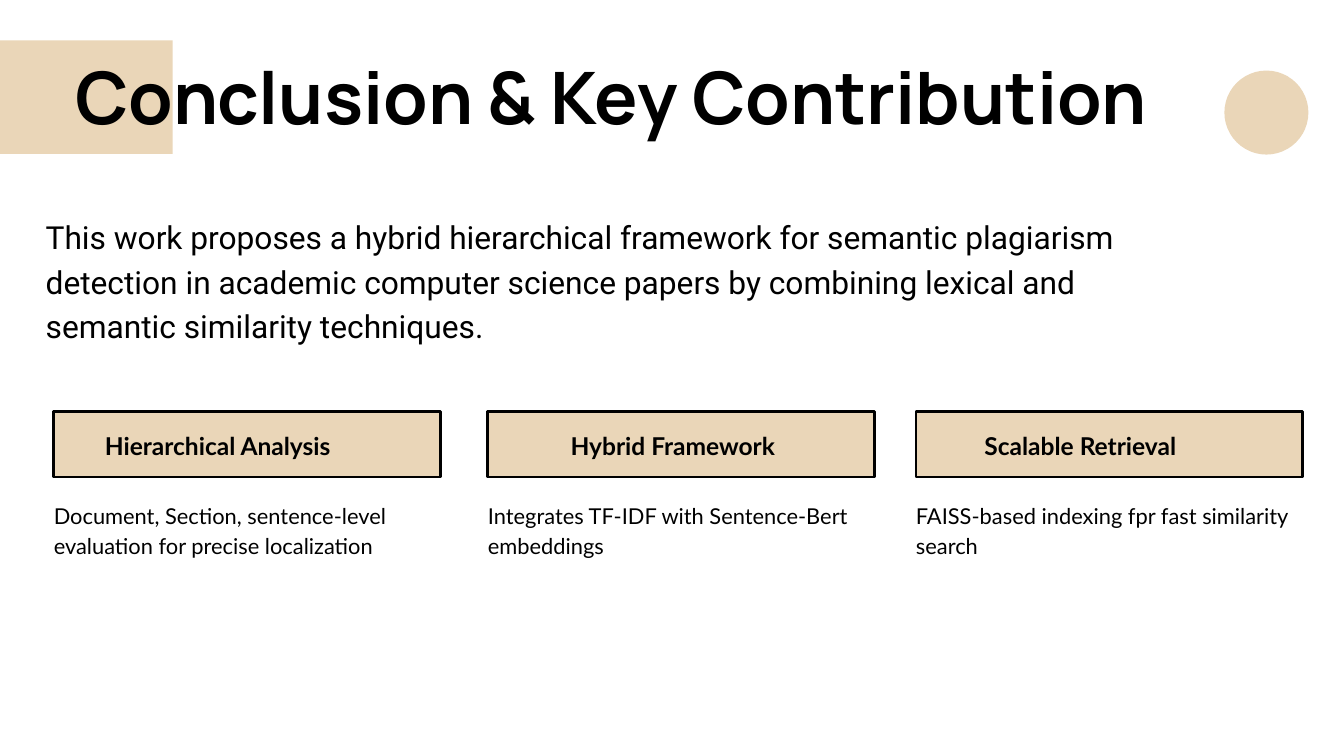
from pptx import Presentation
from pptx.dml.color import RGBColor
from pptx.enum.shapes import MSO_SHAPE
from pptx.enum.text import MSO_ANCHOR, MSO_AUTO_SIZE, PP_ALIGN
from pptx.util import Inches, Pt

RECT, OVAL = MSO_SHAPE.RECTANGLE, MSO_SHAPE.OVAL
TOP, LEFT, NO_FIT = MSO_ANCHOR.TOP, PP_ALIGN.LEFT, MSO_AUTO_SIZE.NONE
SAND, BLACK = "EAD6B8", "000000"


def add_block(kind, x, y, w, h, line_width=0):
    sp = s.shapes.add_shape(kind, Inches(x), Inches(y), Inches(w), Inches(h))
    sp.shadow.inherit = False
    sp.fill.solid()
    sp.fill.fore_color.rgb = RGBColor.from_string(SAND)
    if line_width:
        sp.line.color.rgb = RGBColor.from_string(BLACK)
        sp.line.width = Pt(line_width)
    else:
        sp.line.fill.background()


def set_text(sp, x, y, w, h, text, font, size, spacing, bold=False):
    sp.left, sp.top, sp.width, sp.height = Inches(x), Inches(y), Inches(w), Inches(h)
    tf = sp.text_frame
    tf.text = text
    tf.word_wrap = True
    tf.auto_size = NO_FIT
    tf.vertical_anchor = TOP
    tf.margin_left = tf.margin_right = tf.margin_top = tf.margin_bottom = 0
    p = tf.paragraphs[0]
    p.alignment = LEFT
    p.line_spacing = Pt(spacing)
    p.space_before = Pt(0)
    r = p.runs[0]
    r.font.name = font
    r.font.size = Pt(size)
    r.font.bold = bold
    r.font.color.rgb = RGBColor.from_string(BLACK)


prs = Presentation()
prs.slide_width, prs.slide_height = Inches(20), Inches(11.25)
s = prs.slides.add_slide(prs.slide_layouts[5])

add_block(RECT, -1.69, 0.6, 4.26, 1.69)
add_block(OVAL, 18.22, 1.05, 1.25, 1.25)

title = s.shapes.title
s.shapes._spTree.append(title._element)
set_text(title, 1.12, 0.56, 18.88, 1.52, "Conclusion & Key Contribution",
         "Manrope", 77.5, 108.5, True)

summary = s.shapes.add_textbox(0, 0, 0, 0)
set_text(summary, 0.68, 3.15, 17.33, 1.95,
         "This work proposes a hybrid hierarchical framework for semantic plagiarism "
         "detection in academic computer science papers by combining lexical and "
         "semantic similarity techniques.", "Roboto", 34, 47.6)

contributions = [
    (0.8, 1.56, "Hierarchical Analysis",
     "Document, Section, sentence-level evaluation for precise localization"),
    (7.26, 8.49, "Hybrid Framework",
     "Integrates TF-IDF with Sentence-Bert embeddings"),
    (13.63, 14.65, "Scalable Retrieval",
     "FAISS-based indexing fpr fast similarity search"),
]
for x, heading_x, heading, detail in contributions:
    add_block(RECT, x, 6.12, 5.75, 0.98, 3)
    set_text(s.shapes.add_textbox(0, 0, 0, 0), heading_x, 6.34, 4.22, 0.48,
             heading, "Lato", 26.3, 36.8, True)
    set_text(s.shapes.add_textbox(0, 0, 0, 0), x, 7.41, 5.62, 0.88,
             detail, "Lato", 23.4, 32.8)

prs.save("out.pptx")
